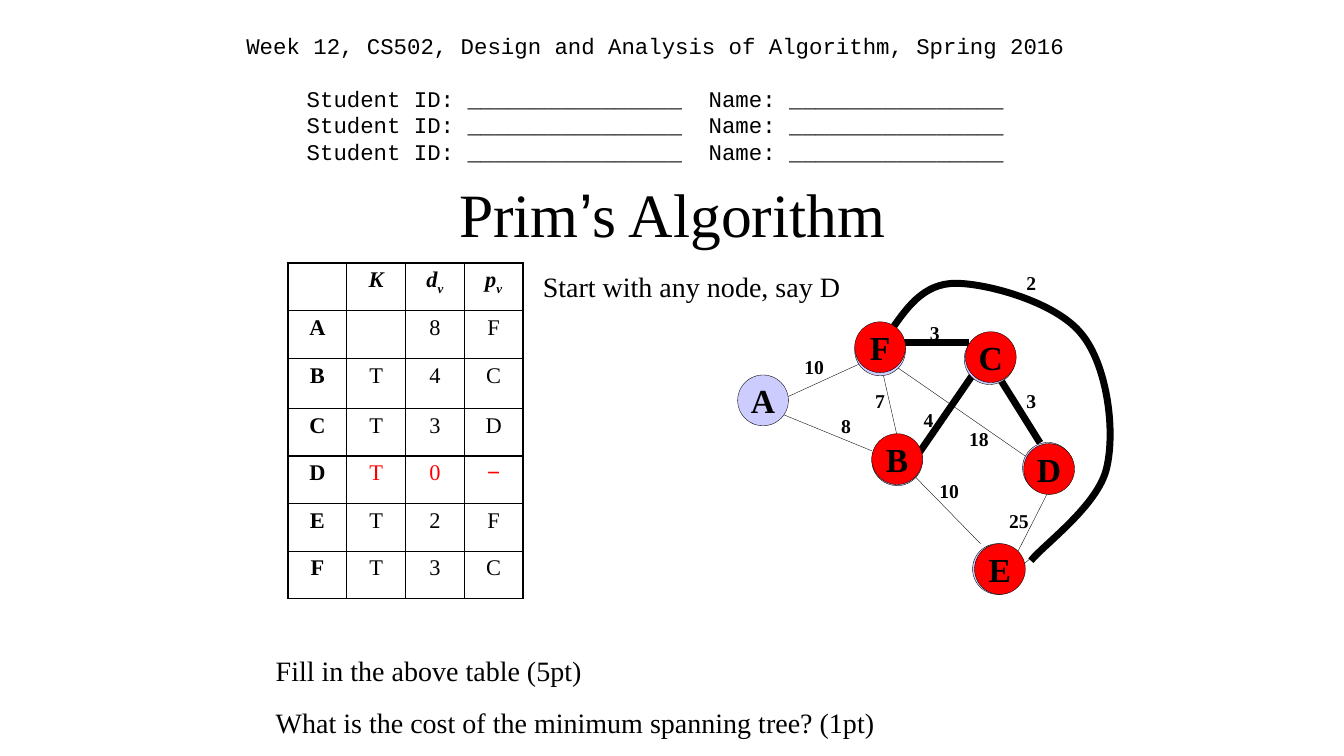
from lxml import etree
from pptx import Presentation
from pptx.dml.color import RGBColor
from pptx.enum import shapes, text
from pptx.oxml import ns
from pptx.util import Cm, Pt

SERIF, MONO, SANS = "Times New Roman", "Courier New", "Arial"
BLACK, RED, LILAC = "000000", "FF0000", "CCCCFF"
THIN, THICK = 0.25, 5
NODE_SIZE = 1.28

EDGES = [
    ((8.13, 5.08), (7.06, 7.19), THIN),
    ((3.58, 2.34), (4.01, 4.24), THIN),
    ((4.45, 4.88), (5.92, 2.74), THICK),
    ((7.39, 4.88), (4.01, 2.54), THIN),
    ((0.84, 3.61), (3.38, 4.65), THIN),
    ((4.14, 1.91), (5.82, 1.91), THICK),
    ((6.55, 2.74), (7.62, 4.45), THICK),
    ((4.45, 5.28), (6.12, 6.99), THIN),
    ((1.17, 3.33), (3.07, 2.46), THIN),
    ((7.82, 6.99), (7.19, 7.52), THIN),
]
WEIGHTS = [
    ("25", 7.09, 6.39), ("7", 3.59, 3.37), ("4", 4.81, 3.85),
    ("18", 6.08, 4.33), ("8", 2.73, 4), ("3", 4.97, 1.66),
    ("3", 7.4, 3.37), ("10", 5.33, 5.63), ("10", 1.93, 2.5),
    ("2", 7.4, 0.39),
]
VISITED = [
    ("D", 7.21, 4.47, -0.03, -0.03), ("C", 5.74, 1.65, -0.03, 0.05),
    ("F", 2.95, 1.4, 0, 0.08), ("E", 5.97, 6.99, -0.05, 0),
    ("B", 3.38, 4.22, 0, 0.03),
]
CURVE = [
    (3.81, 1.7), (4.24, 1.07), (4.67, 0.43), (5.49, 0.43), (6.3, 0.43),
    (8.03, 0.91), (8.66, 1.7), (9.3, 2.46), (9.53, 4.11), (9.3, 5.08),
    (9.09, 6.02), (7.72, 7.01), (7.39, 7.42),
]
ROWS = ["A 8F", "BT4C", "CT3D", "DT0−", "ET2F", "FT3C"]


def rgb(value):
    return RGBColor.from_string(value)


def style(r, size, font=SERIF, color=BLACK, bold=False, italic=False):
    r.font.size, r.font.name = Pt(size), font
    r.font.bold, r.font.italic = bold, italic
    r.font.color.rgb = rgb(color)


def set_margins(tf, margin):
    tf.margin_left = tf.margin_right = tf.margin_top = tf.margin_bottom = Cm(margin)


def add_text(s, box, lines, size, font=SERIF, bold=False, align=text.PP_ALIGN.LEFT):
    tf = s.shapes.add_textbox(*map(Cm, box)).text_frame
    tf.word_wrap = True
    set_margins(tf, 0.12)
    tf.text = "\n".join(lines)
    for p in tf.paragraphs:
        p.alignment = align
        style(p.runs[0], size, font, bold=bold)
    return tf


def add_header(s, box):
    student = "Student ID: ________________  Name: ________________"
    lines = ["Week 12, CS502, Design and Analysis of Algorithm, Spring 2016"] + [student] * 3
    tf = add_text(s, box, lines, 16, MONO, align=text.PP_ALIGN.CENTER)
    for p in tf.paragraphs:
        p.line_spacing = Pt(19)
    tf.paragraphs[1].space_before = Pt(19)


def add_title(s, box):
    sp = s.shapes.title
    sp.left, sp.top, sp.width, sp.height = map(Cm, box)
    tf = sp.text_frame
    tf.auto_size = text.MSO_AUTO_SIZE.NONE
    tf.vertical_anchor = text.MSO_ANCHOR.MIDDLE
    set_margins(tf, 0.12)
    p = tf.paragraphs[0]
    p.alignment = text.PP_ALIGN.CENTER
    for part, font in (("Prim", SERIF), ("’", SANS), ("s Algorithm", SERIF)):
        r = p.add_run()
        r.text = part
        style(r, 44, font)


def set_borders(cell, widths):
    tc_pr = cell._tc.get_or_add_tcPr()
    for side, width in zip("LRTB", widths):
        ln = etree.SubElement(tc_pr, ns.qn("a:ln" + side), w=str(Pt(width)))
        fill = etree.SubElement(ln, ns.qn("a:solidFill"))
        etree.SubElement(fill, ns.qn("a:srgbClr"), val=BLACK)


def add_distance_table(s, box):
    heads = ["", "K", "dv", "pv"]
    rows = [heads] + [list(row) for row in ROWS]
    table = s.shapes.add_table(len(rows), len(heads), *map(Cm, box)).table
    table.first_row = table.horz_banding = False
    for column in table.columns:
        column.width = Cm(box[2] / len(heads))
    for i, row in enumerate(rows):
        table.rows[i].height = Cm(1.26 if i == 2 else 1.2)
        for j, value in enumerate(row):
            cell = table.cell(i, j)
            set_borders(cell, (2.25 if j == 0 else 1, 2.25 if j == 3 else 1,
                               2.25 if i == 0 else 1, 1))
            cell.fill.background()
            set_margins(cell, 0.12)
            p = cell.text_frame.paragraphs[0]
            p.alignment = text.PP_ALIGN.CENTER
            for k, char in enumerate(value.strip()):
                r = p.add_run()
                r.text = char
                style(r, 16, SANS if char == "−" else SERIF,
                      RED if row[0] == "D" and j else BLACK,
                      bold=i == 0 or j == 0, italic=i == 0)
                if k:
                    r.font._element.set("baseline", "-25000")


def add_edge(s, start, end, width):
    line = s.shapes.add_connector(shapes.MSO_CONNECTOR.STRAIGHT, *map(Cm, start + end))
    line.line.color.rgb = rgb(BLACK)
    line.line.width = Pt(width)
    etree.SubElement(line._element.spPr, ns.qn("a:effectLst"))


def add_curve(s, points):
    points = [(Cm(x), Cm(y)) for x, y in points]
    builder = s.shapes.build_freeform(*points[0])
    builder.add_line_segments(points[1:], close=False)
    sp = builder.convert_to_shape()
    sp.shadow.inherit = False
    sp.fill.background()
    sp.line.color.rgb = rgb(BLACK)
    sp.line.width = Pt(THICK)
    outline = sp._element.find(".//" + ns.qn("a:path"))
    segments = outline.findall(ns.qn("a:lnTo"))
    for i in range(0, len(segments), 3):
        bezier = etree.SubElement(outline, ns.qn("a:cubicBezTo"))
        for segment in segments[i:i + 3]:
            bezier.append(segment[0])
            outline.remove(segment)


def add_node(s, x, y, color, letter=""):
    sp = s.shapes.add_shape(shapes.MSO_SHAPE.OVAL, *map(Cm, (x, y, NODE_SIZE, NODE_SIZE)))
    sp.shadow.inherit = False
    sp.fill.solid()
    sp.fill.fore_color.rgb = rgb(color)
    sp.line.color.rgb = rgb(BLACK)
    sp.line.width = Pt(THIN)
    if letter:
        tf = sp.text_frame
        tf.word_wrap = False
        tf.vertical_anchor = text.MSO_ANCHOR.MIDDLE
        set_margins(tf, 0)
        tf.text = letter
        tf.paragraphs[0].alignment = text.PP_ALIGN.CENTER
        style(tf.paragraphs[0].runs[0], 24, bold=True)


def add_graph(s, left, top):
    for (x1, y1), (x2, y2), width in EDGES:
        add_edge(s, (left + x1, top + y1), (left + x2, top + y2), width)
    add_curve(s, [(left + x, top + y) for x, y in CURVE])
    add_node(s, left, top + 2.74, LILAC, "A")
    for letter, x, y, dx, dy in VISITED:
        add_node(s, left + x + dx, top + y + dy, LILAC)
    for weight, x, y in WEIGHTS:
        width, height = 0.36 + 0.48 * len(weight), 0.79
        add_text(s, (left + x - width / 2, top + y - height / 2, width, height),
                 [weight], 14, bold=True, align=text.PP_ALIGN.CENTER)
    for letter, x, y, dx, dy in VISITED:
        add_node(s, left + x, top + y, RED, letter)


def add_questions(s, box):
    lines = ["Fill in the above table (5pt)",
             "What is the cost of the minimum spanning tree? (1pt)"]
    tf = add_text(s, box, lines, 20)
    tf.paragraphs[1].space_before = Pt(13)


def main():
    prs = Presentation()
    prs.slide_width, prs.slide_height = Cm(33.87), Cm(19.05)
    s = prs.slides.add_slide(prs.slide_layouts[5])
    add_title(s, (6.15, 3.78, 21.59, 3.18))
    add_header(s, (4.78, 0.69, 23.47, 4.6))
    add_graph(s, 18.59, 6.71)
    add_text(s, (13.56, 6.68, 8.05, 1.04), ["Start with any node, say D"], 20)
    add_distance_table(s, (7.26, 6.63, 5.92, 8.43))
    add_questions(s, (6.83, 16.36, 17.35, 2.26))
    prs.save("out.pptx")


if __name__ == "__main__":
    main()
